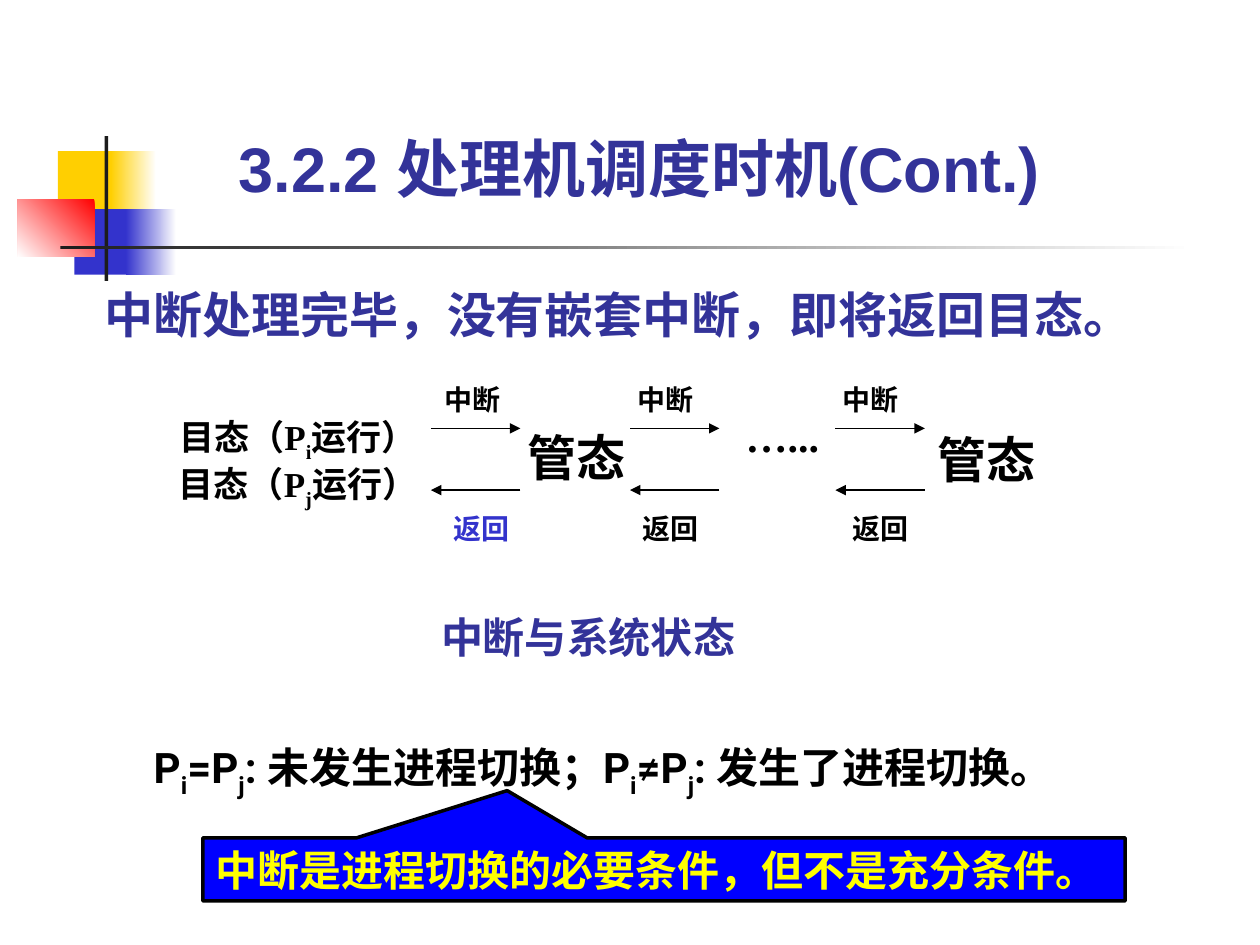
import dataclasses
from typing import Any

import lxml.etree
import pptx
import pptx.dml.color
import pptx.enum.shapes
import pptx.enum.text
import pptx.oxml.ns
import pptx.util

RGBColor = pptx.dml.color.RGBColor
WHITE = RGBColor(0xFF, 0xFF, 0xFF)
BLACK = RGBColor(0, 0, 0)
INK = RGBColor(0x1C, 0x1C, 0x1C)
GOLD = RGBColor(0xFF, 0xCF, 0x01)
RED = RGBColor(0xFF, 0, 0)
BLUE = RGBColor(0x33, 0x33, 0xCC)
NAVY = RGBColor(0x33, 0x33, 0x99)
CALLOUT_BLUE = RGBColor(0, 0, 0xFF)
YELLOW = RGBColor(0xFF, 0xFF, 0)

SLIDE_WIDTH = pptx.util.Inches(10)
SLIDE_HEIGHT = pptx.util.Inches(7.5)
COLUMN = SLIDE_WIDTH / 100
ROW = SLIDE_HEIGHT / 75
SERIF = "Times New Roman"
SANS = "Roboto"
PADDING = (pptx.util.Inches(0.1), pptx.util.Inches(0.05))

Shape = pptx.enum.shapes.MSO_SHAPE
Align = pptx.enum.text.PP_ALIGN
Anchor = pptx.enum.text.MSO_ANCHOR


@dataclasses.dataclass
class Box:
    """A box measured in grid columns and rows."""
    left: float
    top: float
    width: float
    height: float

    def inner(self, left, top, width, height):
        return Box(self.left + left, self.top + top, width, height)

    def lengths(self):
        return (round(self.left * COLUMN), round(self.top * ROW),
                round(self.width * COLUMN), round(self.height * ROW))


@dataclasses.dataclass
class Style:
    size: float
    color: Any = BLACK
    font: str = SERIF


def write(shape, lines, style, padding=(0, 0), align=Align.LEFT,
          anchor=Anchor.TOP, wrap=True, spacing=None):
    """Write lines of text; an underscore marks the next letter as a subscript."""
    frame = shape.text_frame
    frame.auto_size = pptx.enum.text.MSO_AUTO_SIZE.NONE
    frame.word_wrap = wrap
    frame.vertical_anchor = anchor
    frame.margin_left = frame.margin_right = padding[0]
    frame.margin_top = frame.margin_bottom = padding[1]
    for index, line in enumerate(lines):
        paragraph = frame.add_paragraph() if index else frame.paragraphs[0]
        paragraph.alignment = align
        if spacing:
            paragraph.line_spacing = spacing
        first, *rest = line.split("_")
        pieces = [(first, False)]
        for piece in rest:
            pieces += [(piece[0], True), (piece[1:], False)]
        for text, lowered in pieces:
            run = paragraph.add_run()
            run.text = text
            run.font.size = pptx.util.Pt(style.size)
            run.font.name = style.font
            run.font.bold = True
            run.font.color.rgb = style.color
            if lowered:
                run.font._element.set("baseline", "-25000")


def add_text(shapes, box, lines, style, **options):
    write(shapes.add_textbox(*box.lengths()), lines, style, **options)


def add_block(shapes, box, color, fade_angle=None, kind=Shape.RECTANGLE):
    """Add a plain block, or one that fades to white along an angle."""
    shape = shapes.add_shape(kind, *box.lengths())
    shape.shadow.inherit = False
    shape.line.fill.background()
    if fade_angle is None:
        shape.fill.solid()
        shape.fill.fore_color.rgb = color
    else:
        shape.fill.gradient()
        shape.fill.gradient_angle = fade_angle
        for stop, stop_color in zip(shape.fill.gradient_stops, (color, WHITE)):
            stop.color.rgb = stop_color
    return shape


def add_arrow(shapes, start, end, level):
    y = round(level * ROW)
    connector = shapes.add_connector(
        pptx.enum.shapes.MSO_CONNECTOR.STRAIGHT,
        round(start * COLUMN), y, round(end * COLUMN), y)
    connector.line.color.rgb = BLACK
    connector.line.width = pptx.util.Pt(0.75)
    name = pptx.oxml.ns.qn
    properties = connector._element.spPr
    line = properties.find(name("a:ln"))
    lxml.etree.SubElement(line, name("a:tailEnd"), type="triangle")
    lxml.etree.SubElement(properties, name("a:effectLst"))


def build_ornament(shapes, box):
    blocks = [
        ((3.2, 1.2, 4.8, 5.2), GOLD, None),
        ((7.4, 1.2, 3.6, 5.2), GOLD, 0),
        ((4.5, 5.8, 4.6, 5.2), BLUE, None),
        ((8.6, 5.8, 4, 5.2), BLUE, 0),
        ((0, 5, 6.1, 4.6), RED, 225),
        ((6.9, 0, 0.3, 11.5), INK, None),
        ((3.4, 8.7, 90, 0.3), INK, 0),
    ]
    for place, color, fade_angle in blocks:
        add_block(shapes, box.inner(*place), color, fade_angle)


def build_title(slide, box):
    title = slide.shapes.title
    title.left, title.top, title.width, title.height = box.lengths()
    write(title, ["3.2.2 处理机调度时机(Cont.)"], Style(36, NAVY, "Arial"),
          align=Align.CENTER, anchor=Anchor.MIDDLE)


def build_state_diagram(shapes, box):
    centred = dict(padding=PADDING, align=Align.CENTER,
                   anchor=Anchor.MIDDLE, wrap=False)
    # User state, system states and the gap between them
    user_state = add_block(shapes, box.inner(0, 1.7, 19.7, 10.3), WHITE)
    write(user_state, ["目态（P_i运行）", "目态（P_j运行）"], Style(20), **centred)
    for left, top in ((27.1, 3.5), (59.6, 3.7)):
        add_text(shapes, box.inner(left, top, 10, 5.7), ["管态"], Style(28),
                 padding=PADDING)
    add_text(shapes, box.inner(45.4, 1.7, 5.8, 6), ["…..."], Style(24), **centred)

    # Arrow pairs: arrow left, interrupt label left, return label left, colour
    pairs = [(20.4, 20.5, 21.2, BLUE), (36.2, 35.8, 36.2, BLACK),
             (52.5, 52.1, 52.9, BLACK)]
    for arrow, interrupt, back, color in pairs:
        start = box.left + arrow
        end = start + 7.1
        add_arrow(shapes, start, end, box.top + 4.1)
        add_arrow(shapes, end, start, box.top + 9)
        add_text(shapes, box.inner(interrupt, 0, 6.7, 3.7), ["中断"], Style(16),
                 padding=PADDING)
        add_text(shapes, box.inner(back, 10.2, 6.7, 3.7), ["返回"],
                 Style(16, color), padding=PADDING)

    # Caption
    add_text(shapes, box.inner(21.2, 18.6, 26.8, 4), ["中断与系统状态"],
             Style(24, NAVY))


def build_conclusion(shapes, box):
    add_text(shapes, box.inner(0, 0, 81.9, 5.9),
             ["P_i=P_j: 未发生进程切换；P_i≠P_j: 发生了进程切换。"],
             Style(24, BLACK, SANS), spacing=1.3)
    callout = add_block(shapes, box.inner(3.9, 9, 73.2, 5), CALLOUT_BLUE,
                        kind=Shape.RECTANGULAR_CALLOUT)
    callout.adjustments[0] = -0.17
    callout.adjustments[1] = -1.25
    callout.line.color.rgb = BLACK
    callout.line.width = pptx.util.Pt(2)
    write(callout, ["中断是进程切换的必要条件，但不是充分条件。"],
          Style(24, YELLOW), padding=PADDING, anchor=Anchor.MIDDLE)


def main():
    presentation = pptx.Presentation()
    presentation.slide_width = SLIDE_WIDTH
    presentation.slide_height = SLIDE_HEIGHT
    slide = presentation.slides.add_slide(presentation.slide_layouts[5])

    build_ornament(slide.shapes, Box(1.4, 10.8, 93.4, 11.5))
    build_title(slide, Box(16.9, 10.3, 67.7, 6))
    add_text(slide.shapes, Box(8.3, 22.6, 84.3, 4.7),
             ["中断处理完毕，没有嵌套中断，即将返回目态。"], Style(28, NAVY, SANS))
    diagram = slide.shapes.add_group_shape()
    build_state_diagram(diagram.shapes, Box(13.8, 29.9, 69.6, 22.6))
    build_conclusion(slide.shapes, Box(12.2, 57.5, 81.9, 14))
    presentation.save("out.pptx")


if __name__ == "__main__":
    main()
